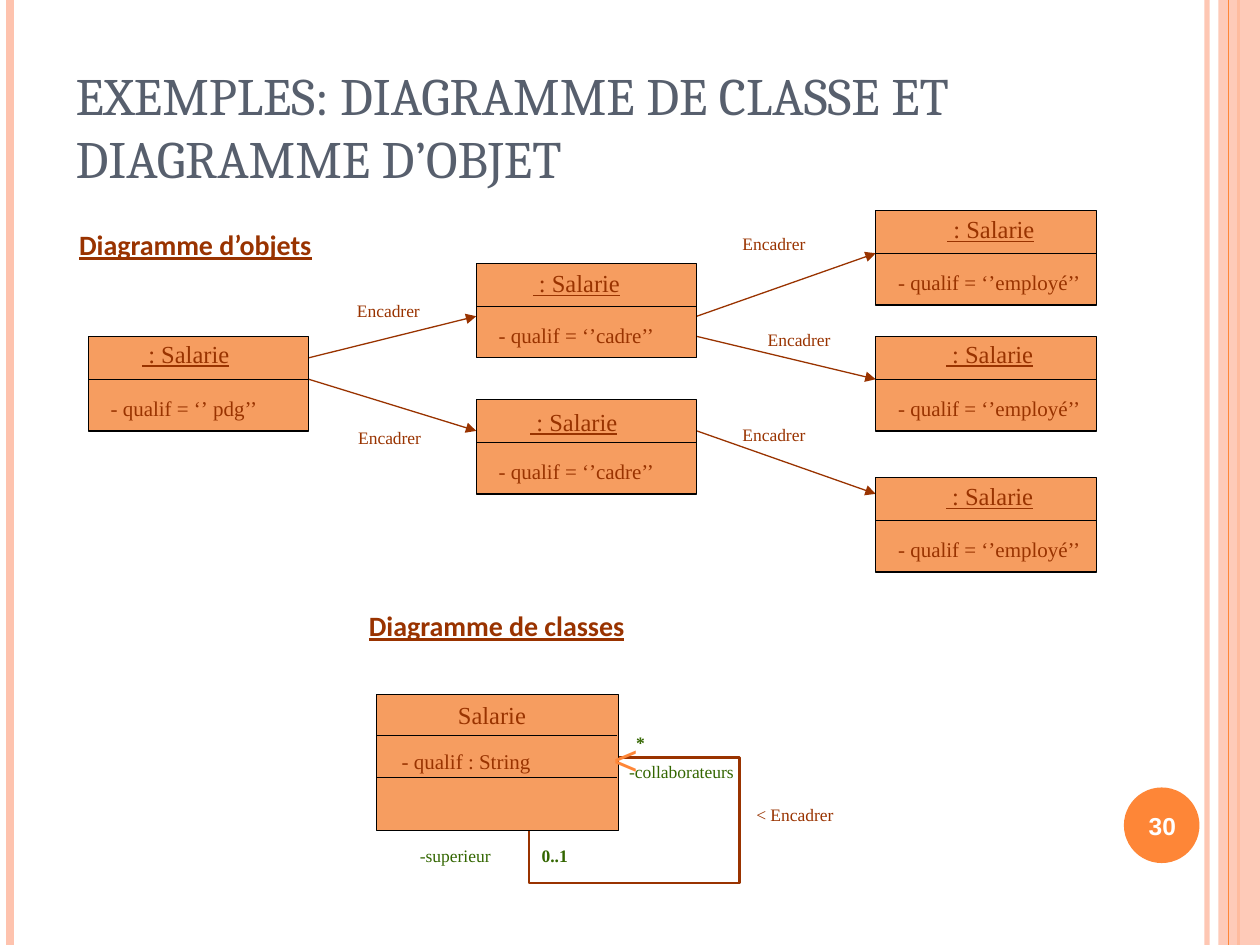
from lxml.etree import SubElement
from pptx import Presentation
from pptx.dml.color import RGBColor
from pptx.enum.shapes import MSO_CONNECTOR, MSO_SHAPE
from pptx.enum.text import MSO_ANCHOR, PP_ALIGN
from pptx.oxml.ns import qn
from pptx.util import Inches, Pt

BLACK = RGBColor(0x00, 0x00, 0x00)
WHITE = RGBColor(0xFF, 0xFF, 0xFF)
SLATE = RGBColor(0x57, 0x5F, 0x6D)
PEACH = RGBColor(0xFE, 0xC3, 0xAE)
ORANGE = RGBColor(0xFE, 0x86, 0x37)
BOX_FILL = RGBColor(0xF6, 0x9D, 0x60)
BROWN = RGBColor(0x99, 0x33, 0x00)
GREEN = RGBColor(0x33, 0x66, 0x00)
SERIF = "Times New Roman"


class DiagramSlide:
    """Holds the current slide and draws its styled elements."""

    def __init__(self, presentation):
        self.slide = presentation.slides.add_slide(presentation.slide_layouts[5])
        self.shapes = self.slide.shapes

    def style(self, paragraph, size, color, font=SERIF, bold=False, underline=False):
        paragraph.font.name = font
        paragraph.font.size = Pt(size)
        paragraph.font.bold = bold
        paragraph.font.underline = underline
        paragraph.font.color.rgb = color

    def title(self, text, left, top, width, height):
        title = self.shapes.title
        title.left, title.top = Inches(left), Inches(top)
        title.width, title.height = Inches(width), Inches(height)
        title.text_frame.text = text
        title.text_frame.vertical_anchor = MSO_ANCHOR.BOTTOM
        paragraph = title.text_frame.paragraphs[0]
        paragraph.alignment = PP_ALIGN.LEFT
        self.style(paragraph, 30, SLATE, "Cambria")

    def text(self, text, left, top, width, height, size, color,
             align=PP_ALIGN.LEFT, anchor=MSO_ANCHOR.TOP, wrap=True, **style):
        box = self.shapes.add_textbox(Inches(left), Inches(top), Inches(width), Inches(height))
        frame = box.text_frame
        frame.word_wrap = wrap
        frame.vertical_anchor = anchor
        frame.text = text
        paragraph = frame.paragraphs[0]
        paragraph.alignment = align
        self.style(paragraph, size, color, **style)

    def heading(self, text, left, top, width):
        self.text(text, left, top, width, 0.37, 16, BROWN, wrap=False,
                  font="Calibri", bold=True, underline=True)

    def label(self, text, left, top, width=1, color=BROWN, bold=False):
        self.text(text, left, top, width, 0.27, 10, color, bold=bold)

    def name(self, text, left, top, width=1.67, underline=True):
        self.text(text, left, top, width, 0.34, 14, BROWN, PP_ALIGN.CENTER, underline=underline)

    def attribute(self, text, left, top):
        self.text(text, left, top, 1.67, 0.3, 12, BROWN)

    def set_opacity(self, fill_format, percent):
        color = fill_format._xPr.find(".//" + qn("a:srgbClr"))
        SubElement(color, qn("a:alpha")).set("val", str(percent * 1000))

    def shape(self, kind, left, top, width, height, fill=None, line=None,
              line_width=0.75, opacity=100):
        shape = self.shapes.add_shape(kind, Inches(left), Inches(top), Inches(width), Inches(height))
        shape.shadow.inherit = False
        if fill is None:
            shape.fill.background()
        else:
            shape.fill.solid()
            shape.fill.fore_color.rgb = fill
            if opacity < 100:
                self.set_opacity(shape.fill, opacity)
        if line is None:
            shape.line.fill.background()
        else:
            shape.line.color.rgb = line
            shape.line.width = Pt(line_width)

    def line(self, start, end, color=BLACK, width=0.75, arrow=False, opacity=100):
        connector = self.shapes.add_connector(
            MSO_CONNECTOR.STRAIGHT, *(Inches(value) for value in (*start, *end)))
        connector.line.color.rgb = color
        connector.line.width = Pt(width)
        if opacity < 100:
            self.set_opacity(connector.line.fill, opacity)
        if arrow:
            SubElement(connector.line.fill._xPr, qn("a:tailEnd")).set("type", "triangle")
        SubElement(connector._element.spPr, qn("a:effectLst"))

    def object_box(self, left, top, value, name_shift, name_rise):
        self.shape(MSO_SHAPE.RECTANGLE, left, top, 1.75, 0.75, BOX_FILL, BLACK)
        self.name(" : Salarie", left + name_shift, top + name_rise)
        self.line((left, top + 0.34), (left + 1.75, top + 0.34))
        self.attribute(f"- qualif = ‘’{value}’’", left + 0.08, top + 0.42)

    def decoration(self):
        self.line((9.58, 0), (9.58, 7.5), PEACH, 3, opacity=93)
        self.line((0.08, 0), (0.08, 7.5), PEACH, 4.5)
        self.line((9.83, 0), (9.83, 7.5), ORANGE, 1.5)
        self.shape(MSO_SHAPE.RECTANGLE, 9.67, 0, 0.33, 7.5, PEACH, opacity=87)
        self.line((9.75, 0), (9.75, 7.5), ORANGE)
        self.shape(MSO_SHAPE.OVAL, 8.92, 6.25, 0.6, 0.6, ORANGE)
        self.text("30", 8.89, 6.27, 0.67, 0.57, 14, WHITE, PP_ALIGN.CENTER,
                  MSO_ANCHOR.MIDDLE, font="Arial", bold=True)

    def object_diagram(self):
        self.heading("Diagramme d’objets", 0.53, 1.76, 2.43)
        links = [
            ((2.45, 2.84), (3.78, 2.51), (2.7, 2.33)),
            ((2.45, 3.01), (3.78, 3.42), (2.71, 3.34)),
            ((5.53, 2.51), (6.95, 2.01), (5.76, 1.8)),
            ((5.53, 2.67), (6.95, 3.01), (5.96, 2.56)),
            ((5.53, 3.42), (6.95, 3.92), (5.76, 3.32)),
        ]
        for start, end, label_position in links:
            self.line(start, end, BROWN, arrow=True)
            self.label(" Encadrer", *label_position)
        objects = [
            (0.7, 2.67, "\u00a0pdg", -0.06, -0.03),
            (3.78, 2.09, "cadre", -0.04, -0.01),
            (3.78, 3.17, "cadre", -0.06, 0.01),
            (6.95, 1.67, "employé", 0.08, -0.02),
            (6.95, 2.67, "employé", 0.07, -0.03),
            (6.95, 3.79, "employé", 0.07, -0.02),
        ]
        for item in objects:
            self.object_box(*item)

    def class_diagram(self):
        self.heading("Diagramme de classes", 2.83, 4.78, 2.67)
        self.label(" -collaborateurs", 4.86, 5.99, 1.17, GREEN)
        self.shape(MSO_SHAPE.RECTANGLE, 4.2, 6.01, 1.67, 1, line=BROWN, line_width=1.5)
        self.shape(MSO_SHAPE.RECTANGLE, 2.99, 5.51, 1.92, 1.08, BOX_FILL, BLACK)
        for divider in (5.84, 6.17):
            self.line((2.99, divider), (4.9, divider))
        self.name("Salarie", 3.24, 5.51, 1.33, underline=False)
        self.attribute("- qualif : String", 3.09, 5.89)
        self.label("*", 4.95, 5.76, 0.42, GREEN, bold=True)
        self.label(" < Encadrer", 5.87, 6.33)
        self.label(" -superieur", 3.2, 6.66, 1.17, GREEN)
        self.label("0..1", 4.2, 6.66, 0.42, GREEN, bold=True)
        self.text("<", 4.77, 5.77, 0.47, 0.5, 24, ORANGE, font="Arial")


def main():
    presentation = Presentation()
    presentation.slide_width, presentation.slide_height = Inches(10), Inches(7.5)
    slide = DiagramSlide(presentation)
    slide.decoration()
    slide.title("EXEMPLES: DIAGRAMME DE CLASSE ET DIAGRAMME D’OBJET", 0.5, 0.3, 8.17, 1.25)
    slide.object_diagram()
    slide.class_diagram()
    presentation.save("out.pptx")


if __name__ == "__main__":
    main()
